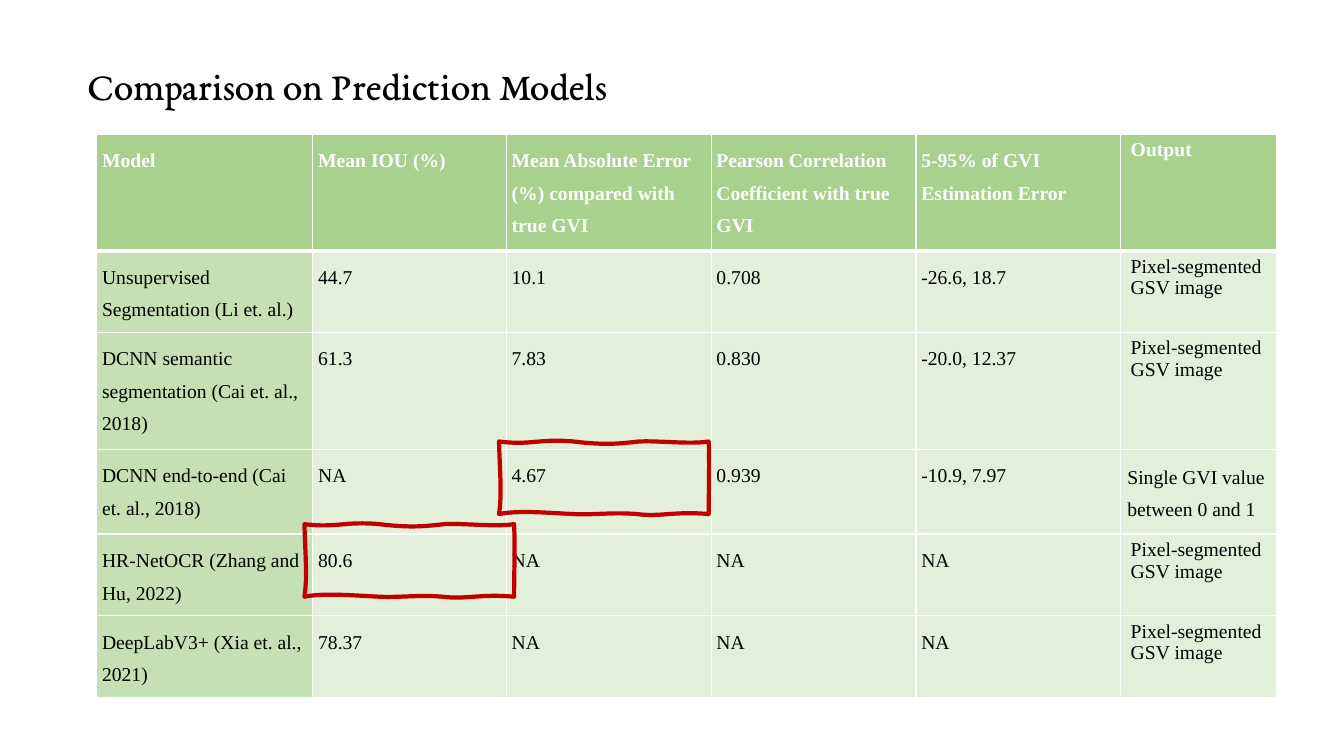
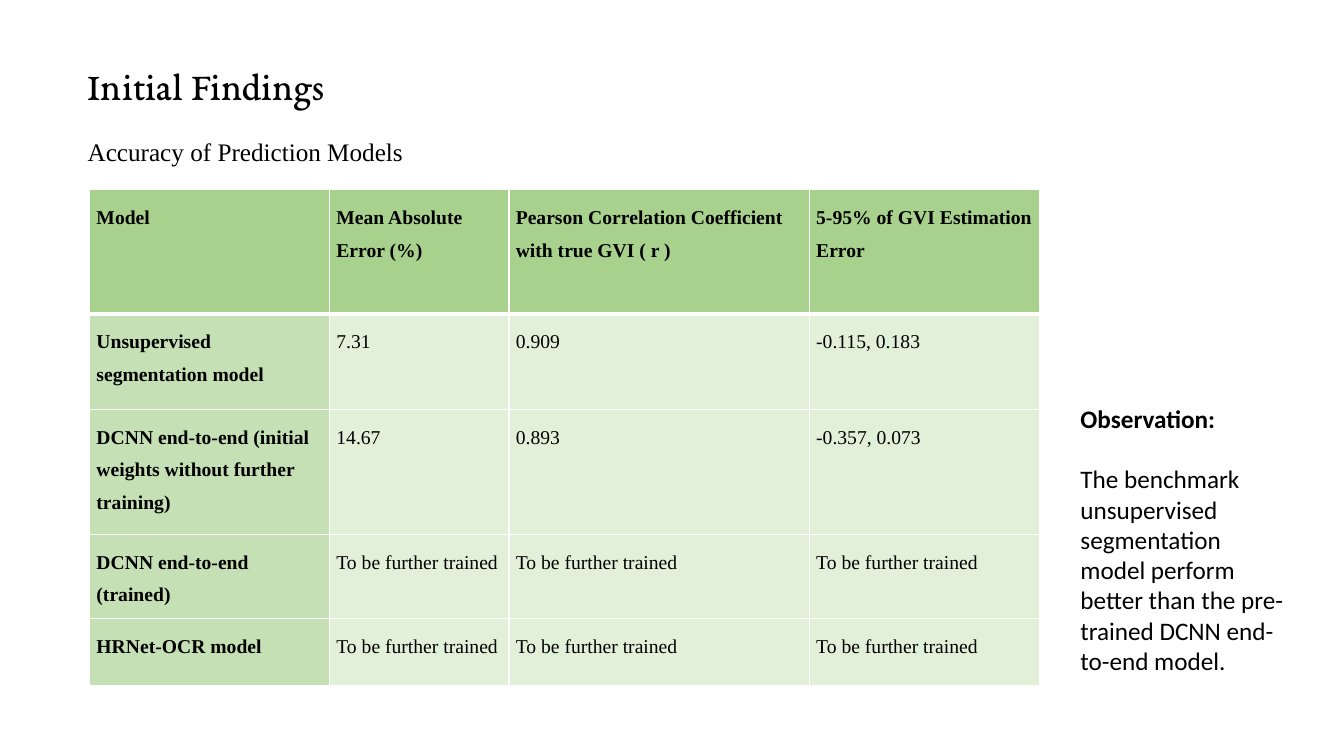
from dataclasses import dataclass

from lxml.etree import SubElement
from pptx import Presentation
from pptx.dml.color import RGBColor
from pptx.enum.text import MSO_ANCHOR, MSO_AUTO_SIZE, PP_ALIGN
from pptx.oxml.ns import qn
from pptx.util import Emu, Inches, Pt

SLIDE_WIDTH, SLIDE_HEIGHT = Inches(13.333), Inches(7.5)
BLACK, WHITE, RED = "000000", "FFFFFF", "C00000"
HEADER_GREEN, LABEL_GREEN, BODY_GREEN = "A9D18E", "C5E0B4", "E2F0D9"
SERIF, TITLE_FONT, SANS = "Times New Roman", "EB Garamond", "Calibri"

# Wavy outline in inches: each curve has two control points and an end point.
WAVY_CURVES = (
    ((0.31, 0.04), (0.4, -0.03), (0.74, 0)),
    ((1.07, 0.04), (1.2, 0.02), (1.39, 0)),
    ((1.58, -0.01), (1.9, 0.03), (2.08, 0)),
    ((2.09, 0.19), (2.08, 0.54), (2.08, 0.72)),
    ((1.74, 0.69), (1.6, 0.75), (1.37, 0.72)),
    ((1.13, 0.7), (0.95, 0.73), (0.74, 0.72)),
    ((0.52, 0.71), (0.19, 0.68), (0, 0.72)),
    ((0.03, 0.52), (0.01, 0.34), (0, 0)),
)


@dataclass(frozen=True)
class Box:
    """Place and size in percent of the slide."""
    left: float
    top: float
    width: float
    height: float


@dataclass(frozen=True)
class Line:
    text: str
    size: float
    font: str = SERIF
    color: str = BLACK
    bold: bool = False
    spacing: float = 1.0
    before: float = 0


@dataclass(frozen=True)
class CellLayout:
    """Margins in points, and line spacing."""
    side: float
    end: float
    spacing: float


@dataclass(frozen=True)
class GreenTable:
    """Column widths and row heights are in percent of the slide."""
    left: float
    top: float
    columns: tuple
    rows: tuple
    header_color: str
    bold_labels: bool
    layout: CellLayout
    special_layouts: dict
    content: tuple


TIGHT = CellLayout(3.8, 3.8, 1.5)
ROOMY = CellLayout(4.8, 4.8, 1.5)
SINGLE = CellLayout(7.2, 3.6, 1.0)

TITLE_BOX = Box(5.78, 7.47, 65, 7.6)
SUBTITLE_BOX = Box(5.78, 17.33, 36.67, 5.33)
OBSERVATION_BOX = Box(79.65, 52.67, 17.03, 37.73)
BEST_SCORES = ((37.13, 58.4), (22.65, 69.33))

PIXELS = "Pixel-segmented GSV image"
PENDING = ("To be further trained",) * 3

COMPARISON = GreenTable(
    left=7.2, top=17.73,
    columns=(16.08, 14.4, 15.24, 15.24, 15.23, 11.6),
    rows=(15.43, 10.8, 15.47, 11.2, 10.8, 10.8),
    header_color=WHITE, bold_labels=False, layout=TIGHT,
    special_layouts={(row, 5): ROOMY if row == 3 else SINGLE
                     for row in range(6)},
    content=(
        ("Model", "Mean IOU (%)",
         "Mean Absolute Error (%) compared with true GVI",
         "Pearson Correlation Coefficient with true GVI",
         "5-95% of GVI Estimation Error", "Output"),
        ("Unsupervised Segmentation (Li et. al.)", "44.7", "10.1", "0.708",
         "-26.6, 18.7", PIXELS),
        ("DCNN semantic segmentation (Cai et. al., 2018)", "61.3", "7.83",
         "0.830", "-20.0, 12.37", PIXELS),
        ("DCNN end-to-end (Cai et. al., 2018)", "NA", "4.67", "0.939",
         "-10.9, 7.97", "Single GVI value between 0 and 1"),
        ("HR-NetOCR (Zhang and Hu, 2022)", "80.6", "NA", "NA", "NA", PIXELS),
        ("DeepLabV3+ (Xia et. al., 2021)", "78.37", "NA", "NA", "NA", PIXELS),
    ),
)

FINDINGS = GreenTable(
    left=6.68, top=25.07,
    columns=(17.85, 13.35, 22.35, 17.12),
    rows=(16.43, 12.67, 16.5, 11.08, 8.87),
    header_color=BLACK, bold_labels=True, layout=ROOMY, special_layouts={},
    content=(
        ("Model", "Mean Absolute Error (%)",
         "Pearson Correlation Coefficient with true GVI ( r )",
         "5-95% of GVI Estimation Error"),
        ("Unsupervised segmentation model", "7.31", "0.909", "-0.115, 0.183"),
        ("DCNN end-to-end (initial weights without further training)",
         "14.67", "0.893", "-0.357, 0.073"),
        ("DCNN end-to-end (trained)", *PENDING),
        ("HRNet-OCR model", *PENDING),
    ),
)

OBSERVATION = (
    Line("Observation:", 18, SANS, bold=True),
    Line("The benchmark unsupervised segmentation model perform better than "
         "the pre-trained DCNN end-to-end model.", 18, SANS, before=21.6),
)


def rgb(color: str) -> RGBColor:
    return RGBColor.from_string(color)


def across(percent: float) -> Emu:
    return Emu(round(SLIDE_WIDTH * percent / 100))


def down(percent: float) -> Emu:
    return Emu(round(SLIDE_HEIGHT * percent / 100))


def place(box: Box) -> tuple:
    return across(box.left), down(box.top), across(box.width), down(box.height)


def write(text_frame, lines: tuple) -> None:
    text_frame.word_wrap = True
    for index, line in enumerate(lines):
        paragraph = (text_frame.add_paragraph() if index
                     else text_frame.paragraphs[0])
        paragraph.text = line.text
        paragraph.alignment = PP_ALIGN.LEFT
        paragraph.line_spacing = line.spacing
        if line.before:
            paragraph.space_before = Pt(line.before)
        font = paragraph.font
        font.name, font.size, font.bold = line.font, Pt(line.size), line.bold
        font.color.rgb = rgb(line.color)


def add_titled_slide(presentation, title: str):
    slide = presentation.slides.add_slide(presentation.slide_layouts[5])
    shape = slide.shapes.title
    shape.left, shape.top, shape.width, shape.height = place(TITLE_BOX)
    shape.text_frame.auto_size = MSO_AUTO_SIZE.NONE
    shape.text_frame.vertical_anchor = MSO_ANCHOR.TOP
    write(shape.text_frame, (Line(title, 28, TITLE_FONT),))
    return slide


def add_text(slide, box: Box, lines: tuple) -> None:
    write(slide.shapes.add_textbox(*place(box)).text_frame, lines)


def add_borders(cell, row: int) -> None:
    """White hairlines, with a thicker rule under the header row."""
    properties = cell._tc.get_or_add_tcPr()
    widths = {"L": 1, "R": 1, "T": 3 if row == 1 else 1,
              "B": 3 if row == 0 else 1}
    for side, width in widths.items():
        border = SubElement(properties, qn(f"a:ln{side}"), w=str(Pt(width)))
        fill = SubElement(border, qn("a:solidFill"))
        SubElement(fill, qn("a:srgbClr"), val=WHITE)


def format_cell(cell, text: str, row: int, column: int,
                table: GreenTable) -> None:
    layout = table.special_layouts.get((row, column), table.layout)
    cell.margin_left = cell.margin_right = Pt(layout.side)
    cell.margin_top = cell.margin_bottom = Pt(layout.end)
    add_borders(cell, row)
    cell.fill.solid()
    if row == 0:
        fill, color, bold = HEADER_GREEN, table.header_color, True
    elif column == 0:
        fill, color, bold = LABEL_GREEN, BLACK, table.bold_labels
    else:
        fill, color, bold = BODY_GREEN, BLACK, False
    cell.fill.fore_color.rgb = rgb(fill)
    line = Line(text, 14, color=color, bold=bold, spacing=layout.spacing)
    write(cell.text_frame, (line,))


def add_green_table(slide, table: GreenTable) -> None:
    box = Box(table.left, table.top, sum(table.columns), sum(table.rows))
    grid = slide.shapes.add_table(len(table.rows), len(table.columns),
                                  *place(box)).table
    for column, width in zip(grid.columns, table.columns):
        column.width = across(width)
    for row, height in zip(grid.rows, table.rows):
        row.height = down(height)
    for row, texts in enumerate(table.content):
        for column, text in enumerate(texts):
            format_cell(grid.cell(row, column), text, row, column, table)


def bend_sides(shape) -> None:
    """Turn the straight segments of the outline into the wavy curves."""
    segments = list(shape._element.iter(qn("a:lnTo")))
    for segment, curve in zip(segments, WAVY_CURVES):
        segment.tag = qn("a:cubicBezTo")
        for point in list(segment):
            segment.remove(point)
        for x, y in curve:
            SubElement(segment, qn("a:pt"), x=str(Inches(x)), y=str(Inches(y)))


def add_wavy_frame(slide, left: float, top: float) -> None:
    start_x, start_y = across(left), down(top)
    builder = slide.shapes.build_freeform(start_x, start_y)
    builder.add_line_segments(
        [(start_x + Inches(x), start_y + Inches(y))
         for _, _, (x, y) in WAVY_CURVES], close=True)
    shape = builder.convert_to_shape()
    bend_sides(shape)
    shape.shadow.inherit = False
    shape.fill.background()
    shape.line.color.rgb = rgb(RED)
    shape.line.width = Pt(3)


def main() -> None:
    presentation = Presentation()
    presentation.slide_width = SLIDE_WIDTH
    presentation.slide_height = SLIDE_HEIGHT

    comparison = add_titled_slide(presentation,
                                  "Comparison on Prediction Models")
    add_green_table(comparison, COMPARISON)
    for left, top in BEST_SCORES:
        add_wavy_frame(comparison, left, top)

    findings = add_titled_slide(presentation, "Initial Findings")
    add_text(findings, SUBTITLE_BOX,
             (Line("Accuracy of Prediction Models", 18),))
    add_green_table(findings, FINDINGS)
    add_text(findings, OBSERVATION_BOX, OBSERVATION)

    presentation.save("out.pptx")


if __name__ == "__main__":
    main()
